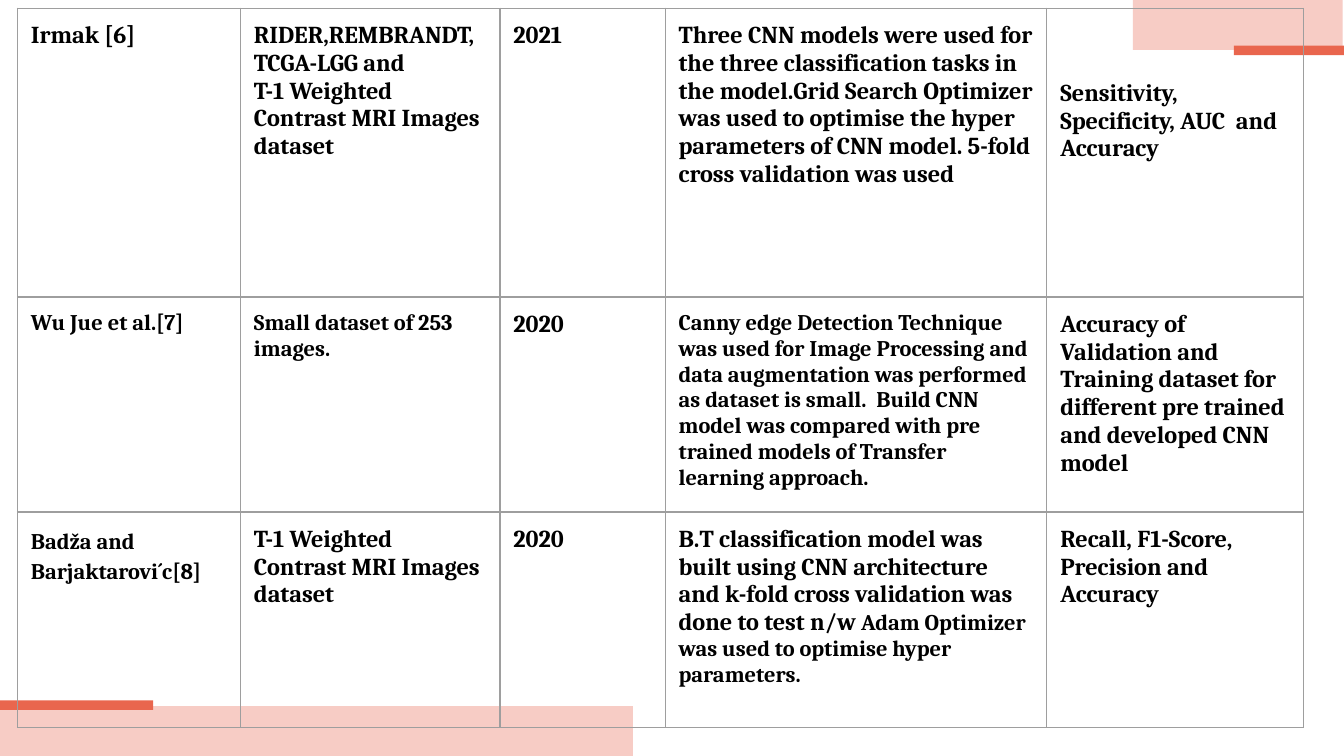
from pptx import Presentation
from pptx.dml.color import RGBColor
from pptx.enum.shapes import MSO_SHAPE
from pptx.oxml import parse_xml
from pptx.oxml.ns import nsdecls
from pptx.util import Inches, Pt

THEME = {
    "font": "Cambria",
    "text": RGBColor.from_string("000000"),
    "pale": RGBColor.from_string("F7CCC5"),
    "accent": RGBColor.from_string("E9664E"),
    "border": "9E9E9E",
    "border_width": Pt(0.75),
    "large": Pt(13),
    "small": Pt(12),
}

presentation = Presentation()
presentation.slide_width = Inches(10)
presentation.slide_height = presentation.slide_width * 9 // 16
slide = presentation.slides.add_slide(presentation.slide_layouts[6])


def across(percent):
    return round(presentation.slide_width * percent / 100)


def down(percent):
    return round(presentation.slide_height * percent / 100)


bars = [
    (0, 93.4, 47.1, 6.6, "pale"),
    (84.3, 0, 15.6, 6.6, "pale"),
    (0, 92.65, 11.4, 1.25, "accent"),
    (91.8, 6.05, 8.2, 1.25, "accent"),
]
for left, top, width, height, color in bars:
    bar = slide.shapes.add_shape(
        MSO_SHAPE.RECTANGLE, across(left), down(top), across(width), down(height)
    )
    bar.shadow.inherit = False
    bar.fill.solid()
    bar.fill.fore_color.rgb = THEME[color]
    bar.line.fill.background()

studies = [
    [
        ("Irmak [6]", "large"),
        ("RIDER,REMBRANDT,TCGA-LGG and\nT-1 Weighted Contrast MRI Images dataset", "large"),
        ("2021", "large"),
        (
            "Three CNN models were used for the three classification tasks in the model."
            "Grid Search Optimizer was used to optimise the hyper parameters of CNN model. "
            "5-fold cross validation was used",
            "large",
        ),
        ("Sensitivity, Specificity, AUC  and Accuracy", "large"),
    ],
    [
        ("Wu Jue et al.[7]", "small"),
        ("Small dataset of 253 images.", "small"),
        ("2020", "large"),
        (
            "Canny edge Detection Technique was used for Image Processing and data "
            "augmentation was performed as dataset is small.  Build CNN model was compared "
            "with pre trained models of Transfer learning approach.",
            "small",
        ),
        (
            "Accuracy of Validation and Training dataset for different pre trained "
            "and developed CNN model",
            "large",
        ),
    ],
    [
        ("Badža and Barjaktarovi´c[8]", "small"),
        ("T-1 Weighted Contrast MRI Images dataset", "large"),
        ("2020", "large"),
        (
            "B.T classification model was built using CNN architecture and k-fold cross "
            "validation was done to test n/w ",
            "large",
        ),
        ("Recall, F1-Score, Precision and Accuracy", "large"),
    ],
]
column_widths = [16.6, 19.3, 12.3, 28.4, 19.1]
row_heights = [38.2, 28.45, 28.45]

table = slide.shapes.add_table(
    len(row_heights), len(column_widths), across(1.3), down(1.1),
    across(sum(column_widths)), down(sum(row_heights)),
).table
table.first_row = False
table.horz_banding = False
for column, width in zip(table.columns, column_widths):
    column.width = across(width)
for row, height in zip(table.rows, row_heights):
    row.height = down(height)

for row, study in zip(table.rows, studies):
    for cell, (text, size) in zip(row.cells, study):
        cell.margin_left = cell.margin_right = Inches(0.1)
        cell.margin_top = cell.margin_bottom = Inches(0.1)
        cell.fill.background()
        properties = cell._tc.get_or_add_tcPr()
        for position, side in enumerate(["lnL", "lnR", "lnT", "lnB"]):
            properties.insert(position, parse_xml(
                f'<a:{side} {nsdecls("a")} w="{THEME["border_width"]}"><a:solidFill>'
                f'<a:srgbClr val="{THEME["border"]}"/></a:solidFill></a:{side}>'
            ))
        cell.text_frame.text = text
        for paragraph in cell.text_frame.paragraphs:
            for run in paragraph.runs:
                run.font.size = THEME[size]

table.cell(0, 4).margin_top = Inches(0.53)
table.cell(2, 0).text_frame.paragraphs[0].line_spacing = 1.15
optimizer = table.cell(2, 3).text_frame.paragraphs[0].add_run()
optimizer.text = "Adam Optimizer was used to optimise hyper parameters."
optimizer.font.size = THEME["small"]

for cell in table.iter_cells():
    for paragraph in cell.text_frame.paragraphs:
        for run in paragraph.runs:
            run.font.name = THEME["font"]
            run.font.bold = True
            run.font.color.rgb = THEME["text"]

presentation.save("out.pptx")
